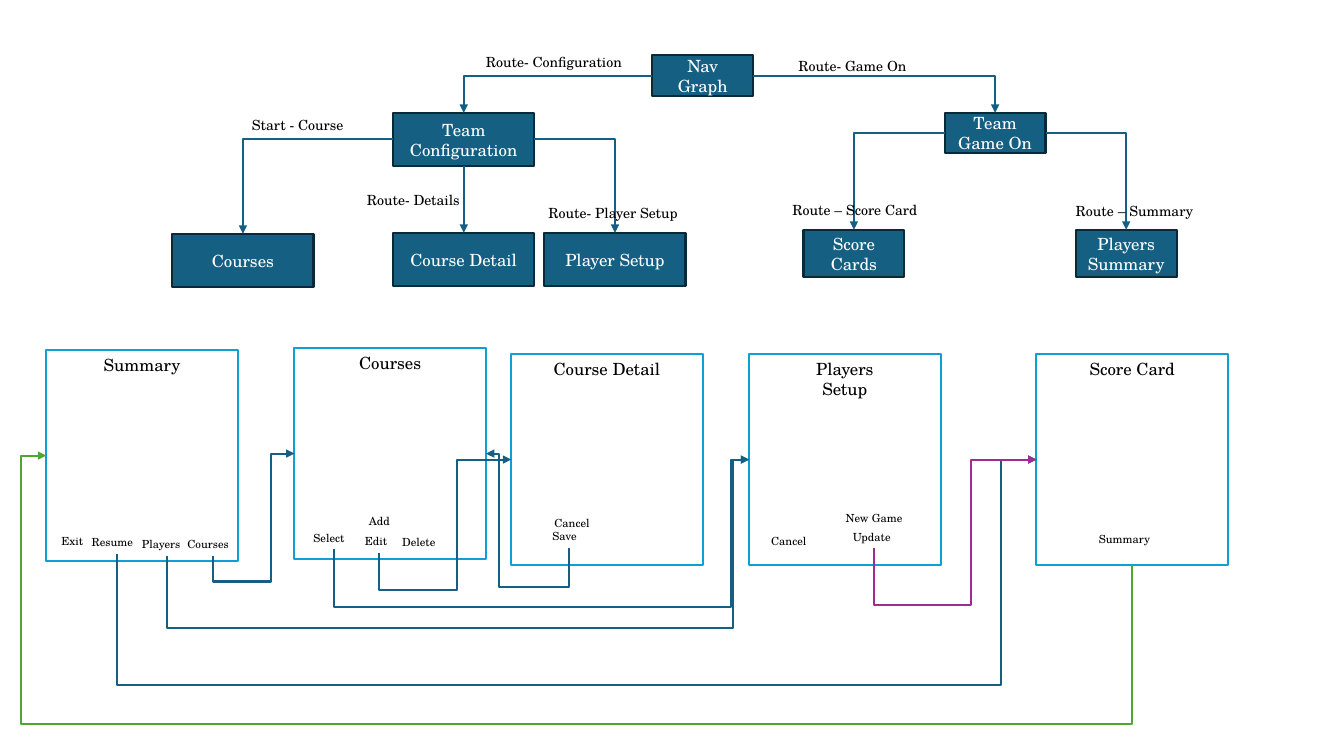
"""Draw a navigation graph above the screens and the flows between them."""
from typing import NamedTuple

from lxml.etree import SubElement
from pptx import Presentation
from pptx.dml.color import RGBColor
from pptx.enum.shapes import MSO_CONNECTOR as Connector, MSO_SHAPE as Preset
from pptx.enum.text import MSO_ANCHOR as Anchor, MSO_AUTO_SIZE as AutoSize, PP_ALIGN as Align
from pptx.oxml.ns import qn
from pptx.util import Emu, Pt

FONT = "TeX Gyre Schola"
BLUE, NAVY, CYAN = "156082", "092A39", "0F9ED5"
PURPLE, GREEN, WHITE, BLACK = "A02B93", "4EA72E", "FFFFFF", "000000"
PX = 9144
SCREEN_WIDTH, SCREEN_HEIGHT = 190, 210
ROUTE_LABEL_HEIGHT, ACTION_HEIGHT = 27, 24


class Box(NamedTuple):
    text: str
    left: int
    top: int
    width: int
    height: int

    @property
    def right(self) -> int:
        return self.left + self.width

    @property
    def bottom(self) -> int:
        return self.top + self.height

    @property
    def center(self) -> int:
        return self.left + self.width // 2

    @property
    def middle(self) -> int:
        return self.top + self.height // 2


class Style(NamedTuple):
    fill: str
    line: str
    font: str
    anchor: Anchor


class Label(NamedTuple):
    text: str
    left: int
    top: int
    width: int


class Flow(NamedTuple):
    start_x: int
    start_y: int
    floor: int
    riser: int
    target: str
    color: str = BLUE


NODE_STYLE = Style(BLUE, NAVY, WHITE, Anchor.MIDDLE)
SCREEN_STYLE = Style(WHITE, CYAN, BLACK, Anchor.TOP)

NODES = {
    "nav": Box("Nav\nGraph", 647, 55, 100, 40),
    "configuration": Box("Team\nConfiguration", 390, 112, 140, 53),
    "game": Box("Team Game On", 937, 112, 100, 40),
    "courses": Box("Courses", 171, 232, 140, 53),
    "detail": Box("Course Detail", 390, 231, 140, 53),
    "player": Box("Player Setup", 540, 231, 140, 53),
    "cards": Box("Score Cards", 797, 228, 100, 47),
    "summary": Box("Players\nSummary", 1067, 228, 100, 47),
}
ROUTES = [
    ("nav", "game"), ("nav", "configuration"),
    ("configuration", "courses"), ("configuration", "detail"), ("configuration", "player"),
    ("game", "cards"), ("game", "summary"),
]
ROUTE_LABELS = [
    Label("Route- Game On", 782, 52, 128),
    Label("Route- Configuration", 472, 48, 157),
    Label("Start - Course", 240, 111, 112),
    Label("Route- Details", 354, 185, 113),
    Label("Route- Player Setup", 534, 198, 151),
    Label("Route – Score Card", 776, 195, 145),
    Label("Route – Summary", 1057, 196, 138),
]
SCREENS = {
    text: Box(text, left, top, SCREEN_WIDTH, SCREEN_HEIGHT)
    for text, left, top in [
        ("Summary", 46, 347), ("Courses", 292, 345), ("Course Detail", 507, 351),
        ("Players\nSetup", 743, 351), ("Score Card", 1028, 351),
    ]
}
ACTIONS = [
    Label("Exit", 51, 525, 49),
    Label("Resume", 81, 526, 70),
    Label("Players", 131, 528, 70),
    Label("Courses", 176, 528, 70),
    Label("Select", 301, 522, 58),
    Label("Add", 356, 505, 49),
    Label("Edit", 352, 525, 49),
    Label("Delete", 389, 526, 57),
    Label("Cancel", 540, 507, 70),
    Label("Save", 538, 520, 51),
    Label("Cancel", 755, 525, 60),
    Label("New Game", 829, 502, 83),
    Label("Update", 836, 521, 63),
    Label("Summary", 1080, 523, 87),
]
FLOWS = [
    Flow(211, 552, 577, 269, "Courses"),
    Flow(166, 552, 623, 727, "Players\nSetup"),
    Flow(116, 550, 680, 992, "Score Card"),
    Flow(331, 545, 602, 725, "Players\nSetup"),
    Flow(376, 549, 585, 453, "Course Detail"),
    Flow(564, 544, 582, 495, "Courses"),
    Flow(867, 544, 600, 963, "Score Card", PURPLE),
    Flow(1123, 561, 718, 21, "Summary", GREEN),
]


def px(length: float) -> Emu:
    return Emu(round(length * PX))


def rgb(color: str) -> RGBColor:
    return RGBColor.from_string(color)


def set_text(frame, text: str, size: int, color: str, align: Align) -> None:
    frame.text = text
    for paragraph in frame.paragraphs:
        paragraph.alignment = align
        paragraph.font.name = FONT
        paragraph.font.size = Pt(size)
        paragraph.font.color.rgb = rgb(color)


def draw_box(slide, box: Box, style: Style) -> None:
    shape = slide.shapes.add_shape(Preset.RECTANGLE, *map(px, box[1:]))
    shape.shadow.inherit = False
    shape.fill.solid()
    shape.fill.fore_color.rgb = rgb(style.fill)
    shape.line.color.rgb = rgb(style.line)
    shape.line.width = Pt(1.5)
    shape.text_frame.vertical_anchor = style.anchor
    set_text(shape.text_frame, box.text, 12, style.font, Align.CENTER)


def draw_label(slide, label: Label, height: int, size: int, wrap: bool) -> None:
    shape = slide.shapes.add_textbox(*map(px, label[1:]), px(height))
    shape.text_frame.word_wrap = wrap
    shape.text_frame.auto_size = AutoSize.SHAPE_TO_FIT_TEXT
    set_text(shape.text_frame, label.text, size, BLACK, Align.LEFT)


def add_arrow(slide, kind: Connector, points: tuple, color: str):
    """Add an arrow between two corners and return its shape properties."""
    connector = slide.shapes.add_connector(kind, *map(px, points))
    connector.line.color.rgb = rgb(color)
    connector.line.width = Pt(1.5)
    properties = connector._element.spPr
    SubElement(properties.find(qn("a:ln")), qn("a:tailEnd"), type="triangle")
    SubElement(properties, qn("a:effectLst"))
    return properties


def draw_route(slide, parent: Box, child: Box) -> None:
    if parent.center == child.center:
        points = (parent.center, parent.bottom, child.center, child.top)
        add_arrow(slide, Connector.STRAIGHT, points, BLUE)
        return
    start_x = parent.right if child.center > parent.center else parent.left
    points = (start_x, parent.middle, child.center, child.top)
    properties = add_arrow(slide, Connector.ELBOW, points, BLUE)
    properties.find(qn("a:prstGeom")).set("prst", "bentConnector2")


def draw_flow(slide, flow: Flow) -> None:
    """Turn a four-part elbow by 90 degrees so that it leaves its action downwards."""
    target = SCREENS[flow.target]
    end_x = target.left if flow.riser < target.left else target.right
    run, rise = end_x - flow.start_x, flow.start_y - target.middle
    left = (flow.start_x + end_x - rise) / 2
    top = (flow.start_y + target.middle - abs(run)) / 2
    points = (left, top, left + rise, top + abs(run))
    properties = add_arrow(slide, Connector.ELBOW, points, flow.color)
    transform = properties.find(qn("a:xfrm"))
    transform.set("rot", "5400000")
    transform.set("flipH", "1")
    transform.set("flipV", str(int(run > 0)))
    geometry = properties.find(qn("a:prstGeom"))
    geometry.set("prst", "bentConnector4")
    guides = geometry.find(qn("a:avLst"))
    ratios = ((flow.start_y - flow.floor) / rise, (flow.riser - flow.start_x) / run)
    for number, ratio in enumerate(ratios, 1):
        SubElement(guides, qn("a:gd"), name=f"adj{number}", fmla=f"val {round(ratio * 100000)}")


def main() -> None:
    presentation = Presentation()
    presentation.slide_width, presentation.slide_height = px(1333), px(750)
    slide = presentation.slides.add_slide(presentation.slide_layouts[6])
    for node in NODES.values():
        draw_box(slide, node, NODE_STYLE)
    for parent, child in ROUTES:
        draw_route(slide, NODES[parent], NODES[child])
    for label in ROUTE_LABELS:
        draw_label(slide, label, ROUTE_LABEL_HEIGHT, 10, False)
    for screen in SCREENS.values():
        draw_box(slide, screen, SCREEN_STYLE)
    for action in ACTIONS:
        draw_label(slide, action, ACTION_HEIGHT, 8, True)
    for flow in FLOWS:
        draw_flow(slide, flow)
    presentation.save("out.pptx")


if __name__ == "__main__":
    main()
